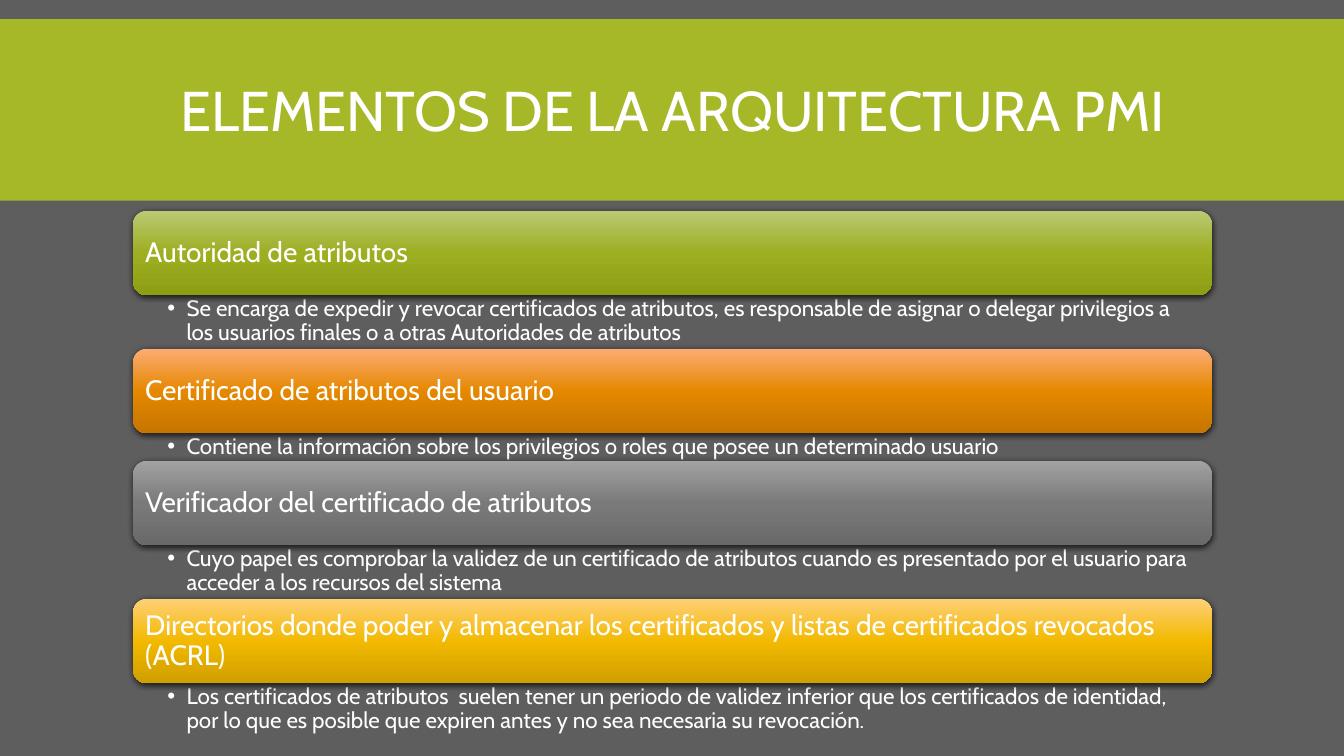
from copy import deepcopy
from dataclasses import dataclass

from lxml.etree import SubElement
from pptx import Presentation
from pptx.dml.color import RGBColor
from pptx.enum.shapes import MSO_SHAPE
from pptx.enum.text import MSO_ANCHOR, MSO_AUTO_SIZE, PP_ALIGN
from pptx.oxml.ns import qn
from pptx.shapes.autoshape import Shape
from pptx.slide import Slide
from pptx.util import Inches, Pt

COLORS = {
    "background": "5E5E5E",
    "band": "A6B727",
    "text": "FFFFFF",
    "shadow": "000000",
}
FONT = "Cabin"
LEFT, WIDTH = 1.32, 10.7
FIRST_TOP, HEADING_HEIGHT = 2.09, 0.84


@dataclass
class Element:
    heading: str
    detail: str
    gradient: tuple[str, str, str]
    detail_height: float = 0.53


ELEMENTS = [
    Element(
        "Autoridad de atributos",
        "Se encarga de expedir y revocar certificados de atributos, es responsable de asignar "
        "o delegar privilegios a los usuarios finales o a otras Autoridades de atributos",
        ("BBC975", "9DAE21", "8E9E14"),
    ),
    Element(
        "Certificado de atributos del usuario",
        "Contiene la información sobre los privilegios o roles que posee un determinado usuario",
        ("FCAC73", "E58800", "C57500"),
        detail_height=0.27,
    ),
    Element(
        "Verificador del certificado de atributos",
        "Cuyo papel es comprobar la validez de un certificado de atributos cuando es presentado "
        "por el usuario para acceder a los recursos del sistema",
        ("A2A2A2", "7A7A7A", "696969"),
    ),
    Element(
        "Directorios donde poder y almacenar los certificados y listas de certificados "
        "revocados (ACRL)",
        "Los certificados de atributos  suelen tener un periodo de validez inferior que los "
        "certificados de identidad, por lo que es posible que expiren antes y no sea necesaria "
        "su revocación.",
        ("FFD077", "F2B900", "D09F00"),
    ),
]


def write_text(
    shape: Shape,
    text: str,
    *,
    size: float,
    align: PP_ALIGN = PP_ALIGN.LEFT,
    anchor: MSO_ANCHOR = MSO_ANCHOR.MIDDLE,
    line_spacing: float = 0.9,
    insets: tuple[float, float, float, float] = (0.08, 0.08, 0.08, 0.08),
    bullet: bool = False,
) -> None:
    frame = shape.text_frame
    frame.word_wrap = True
    frame.auto_size = MSO_AUTO_SIZE.NONE
    frame.vertical_anchor = anchor
    frame.margin_left, frame.margin_top, frame.margin_right, frame.margin_bottom = map(Inches, insets)
    paragraph = frame.paragraphs[0]
    paragraph.alignment = align
    paragraph.line_spacing = line_spacing
    paragraph.space_before = Pt(0)
    if bullet:
        properties = paragraph._p.get_or_add_pPr()
        properties.set("marL", str(Inches(0.19)))
        properties.set("indent", str(Inches(-0.19)))
        SubElement(properties, qn("a:buFont"), typeface="Arial")
        SubElement(properties, qn("a:buChar"), char="•")
    run = paragraph.add_run()
    run.text = text
    run.font.name = FONT
    run.font.size = Pt(size)
    run.font.bold = False
    run.font.color.rgb = RGBColor.from_string(COLORS["text"])


def place(shape: Shape, left: float, top: float, width: float, height: float) -> None:
    shape.left, shape.top = Inches(left), Inches(top)
    shape.width, shape.height = Inches(width), Inches(height)


def fill_gradient(shape: Shape, colors: tuple[str, str, str]) -> None:
    shape.fill.gradient()
    shape.fill.gradient_angle = 270
    stop_list = shape._element.spPr.find(".//" + qn("a:gsLst"))
    stop_list.append(deepcopy(stop_list[0]))
    for stop, color, position in zip(shape.fill.gradient_stops, colors, (0, 0.5, 1)):
        stop.color.rgb = RGBColor.from_string(color)
        stop.position = position


def add_shadow(shape: Shape) -> None:
    shape.shadow.inherit = False
    effects = shape._element.spPr.find(qn("a:effectLst"))
    shadow = SubElement(
        effects, qn("a:outerShdw"), blurRad=str(Pt(4)), dist=str(Pt(1.2)),
        dir="5400000", algn="ctr", rotWithShape="0",
    )
    color = SubElement(shadow, qn("a:srgbClr"), val=COLORS["shadow"])
    SubElement(color, qn("a:alpha"), val="68000")


def add_title(slide: Slide) -> None:
    band = slide.shapes.add_shape(
        MSO_SHAPE.RECTANGLE, 0, Inches(0.19), Inches(13.33), Inches(1.8)
    )
    band.shadow.inherit = False
    band.fill.solid()
    band.fill.fore_color.rgb = RGBColor.from_string(COLORS["band"])
    band.line.fill.background()
    title = slide.shapes.title
    title._element.addprevious(band._element)
    place(title, LEFT, 0.31, WIDTH, 1.65)
    write_text(
        title, "ELEMENTOS DE LA ARQUITECTURA PMI", size=40, align=PP_ALIGN.CENTER,
        line_spacing=0.85, insets=(0.1, 0.05, 0.1, 0.05),
    )


def add_element(slide: Slide, element: Element, detail: Shape, top: float) -> None:
    heading = slide.shapes.add_shape(
        MSO_SHAPE.ROUNDED_RECTANGLE,
        Inches(LEFT), Inches(top), Inches(WIDTH), Inches(HEADING_HEIGHT),
    )
    fill_gradient(heading, element.gradient)
    heading.line.fill.background()
    add_shadow(heading)
    write_text(heading, element.heading, size=20)
    place(detail, LEFT, top + HEADING_HEIGHT, WIDTH, element.detail_height)
    write_text(
        detail, element.detail, size=16, anchor=MSO_ANCHOR.TOP,
        insets=(0.34, 0.02, 0.12, 0.02), bullet=True,
    )


def main() -> None:
    presentation = Presentation()
    presentation.slide_width = Inches(13.33)
    presentation.slide_height = Inches(7.5)
    comparison_layout = presentation.slide_layouts.get_by_name("Comparison")
    slide = presentation.slides.add_slide(comparison_layout)
    slide.background.fill.solid()
    slide.background.fill.fore_color.rgb = RGBColor.from_string(COLORS["background"])
    _, *details = slide.placeholders
    add_title(slide)
    top = FIRST_TOP
    for element, detail in zip(ELEMENTS, details):
        add_element(slide, element, detail, top)
        top += HEADING_HEIGHT + element.detail_height
    presentation.save("out.pptx")


if __name__ == "__main__":
    main()
